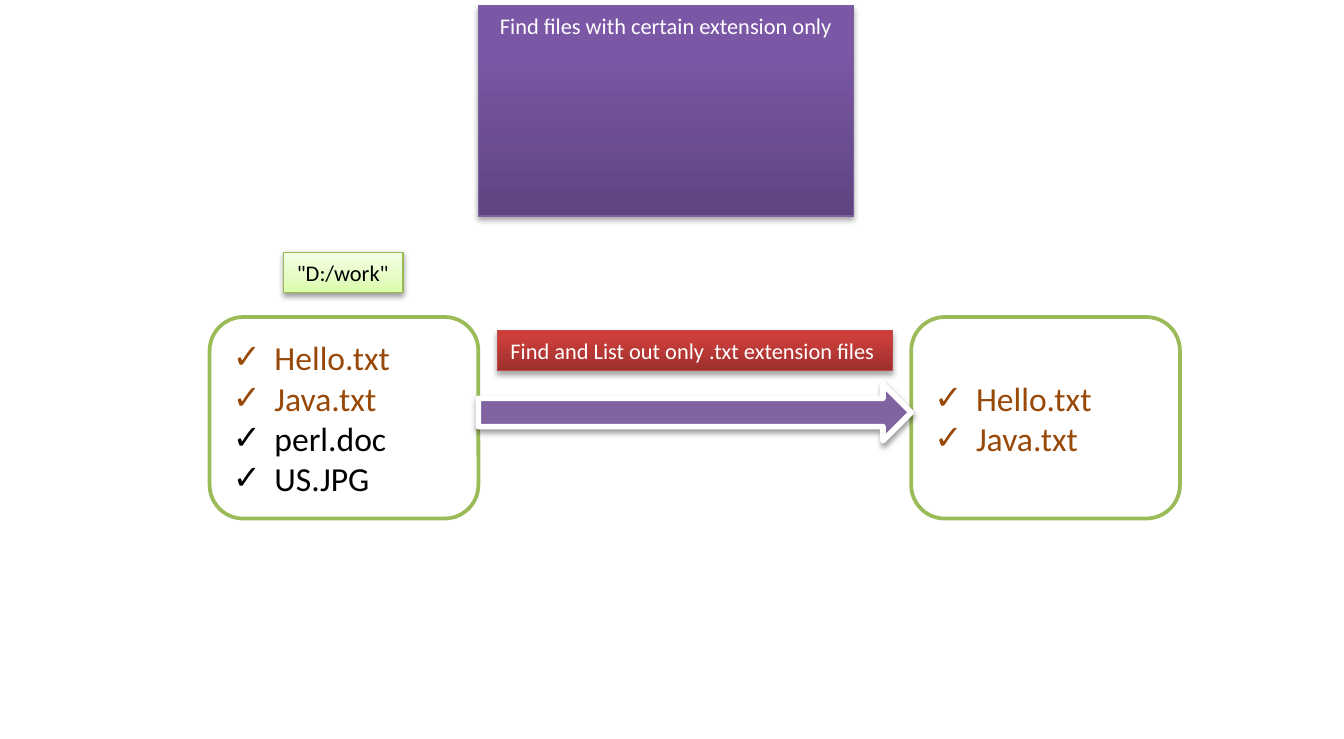
from lxml import etree
from pptx import Presentation
from pptx import util as u
from pptx.dml.color import RGBColor
from pptx.enum import shapes, text
from pptx.oxml import ns

PX = 9144
FONT = "Calibri"
WHITE = RGBColor(0xFF, 0xFF, 0xFF)
BLACK = RGBColor(0, 0, 0)
BROWN = RGBColor(0x98, 0x48, 0x07)
GREEN = RGBColor(0x9B, 0xBB, 0x59)
LIME = RGBColor(0x98, 0xB9, 0x55)
PURPLE = RGBColor(0x80, 0x64, 0xA2)
VIOLET = RGBColor(0x7D, 0x60, 0xA0)
RED = RGBColor(0xBF, 0x4C, 0x48)
VIOLET_STOPS = [(0, RGBColor(0x5F, 0x44, 0x80)), (80, RGBColor(0x7B, 0x58, 0xA6)),
                (100, RGBColor(0x7C, 0x57, 0xA8))]
LIME_STOPS = [(0, RGBColor(0xDA, 0xFD, 0xA7)), (35, RGBColor(0xE4, 0xFC, 0xC2)),
              (100, RGBColor(0xF5, 0xFF, 0xE7))]
RED_STOPS = [(0, RGBColor(0x9C, 0x2F, 0x2D)), (80, RGBColor(0xCB, 0x3E, 0x3A)),
             (100, RGBColor(0xCE, 0x3B, 0x37))]


def add_child(parent, tag, **attributes):
    child = etree.SubElement(parent, ns.qn(tag))
    for name, value in attributes.items():
        child.set(name, str(value))
    return child


def place(box, left, top, width, height):
    box.left, box.top = left * PX, top * PX
    box.width, box.height = width * PX, height * PX


def set_geometry(box, preset):
    geometry = add_child(box.element.spPr, "a:prstGeom", prst=preset)
    add_child(geometry, "a:avLst")


def set_line(box, color, width):
    box.line.color.rgb = color
    box.line.width = u.Pt(width)


def set_fill(box, color):
    box.fill.solid()
    box.fill.fore_color.rgb = color


def set_gradient(box, stops):
    box.fill.gradient()
    box.fill.gradient_angle = 90
    stop_list = box.element.spPr.find(".//" + ns.qn("a:gsLst"))
    for stop in list(stop_list):
        stop_list.remove(stop)
    for percent, color in stops:
        stop = add_child(stop_list, "a:gs", pos=percent * 1000)
        add_child(stop, "a:srgbClr", val=color)


def set_shadow(box, opacity, distance):
    box.shadow.inherit = False
    effects = box.element.spPr.find(ns.qn("a:effectLst"))
    shadow = add_child(effects, "a:outerShdw", blurRad=u.Pt(3.1), dist=u.Pt(distance),
                       dir=90 * 60000, rotWithShape=0)
    color = add_child(shadow, "a:srgbClr", val=BLACK)
    add_child(color, "a:alpha", val=opacity * 1000)


def add_text(para, words, size, color):
    para.space_before = u.Pt(0)
    span = para.add_run()
    span.text = words
    span.font.name = FONT
    span.font.size = u.Pt(size)
    span.font.bold = False
    span.font.color.rgb = color


def format_label(box, words, color, stops, line, opacity, distance, align, wrap):
    set_gradient(box, stops)
    set_line(box, line, 0.75)
    set_shadow(box, opacity, distance)
    frame = box.text_frame
    frame.word_wrap = wrap
    frame.auto_size = text.MSO_AUTO_SIZE.SHAPE_TO_FIT_TEXT
    frame.vertical_anchor = text.MSO_ANCHOR.TOP
    para = frame.paragraphs[0]
    para.alignment = align
    add_text(para, words, 12, color)


def format_title(title, words):
    place(title, 356, 4, 279, 30)
    set_geometry(title, "rect")
    format_label(title, words, WHITE, VIOLET_STOPS, VIOLET, 35, 1.8,
                 text.PP_ALIGN.CENTER, True)


def add_label(page, area, words, color, stops, line, opacity, distance):
    box = page.shapes.add_shape(shapes.MSO_SHAPE.RECTANGLE, *(n * PX for n in area))
    format_label(box, words, color, stops, line, opacity, distance,
                 text.PP_ALIGN.LEFT, False)


def format_file_list(box, left, files):
    place(box, left, 236, 200, 150)
    set_geometry(box, "roundRect")
    set_fill(box, WHITE)
    set_line(box, GREEN, 2)
    frame = box.text_frame
    frame.word_wrap = True
    frame.auto_size = text.MSO_AUTO_SIZE.NONE
    frame.vertical_anchor = text.MSO_ANCHOR.MIDDLE
    for index, (name, color) in enumerate(files):
        para = frame.paragraphs[0] if index == 0 else frame.add_paragraph()
        properties = para._p.get_or_add_pPr()
        properties.set("marL", str(31 * PX))
        properties.set("indent", str(-31 * PX))
        add_child(properties, "a:buFont", typeface="Arial")
        add_child(properties, "a:buChar", char="✓")
        add_text(para, name, 18, color)


def add_arrow(page):
    arrow = page.shapes.add_shape(shapes.MSO_SHAPE.RIGHT_ARROW,
                                  356 * PX, 286 * PX, 322 * PX, 42 * PX)
    set_fill(arrow, PURPLE)
    set_line(arrow, WHITE, 3)
    set_shadow(arrow, 38, 1.6)


def main():
    deck = Presentation()
    deck.slide_width, deck.slide_height = 1000 * PX, 550 * PX
    page = deck.slides.add_slide(deck.slide_layouts.get_by_name("Two Content"))
    title, source, result = page.placeholders
    text_files = [("Hello.txt", BROWN), ("Java.txt", BROWN)]
    other_files = [("perl.doc", BLACK), ("US.JPG", BLACK)]

    format_title(title, "Find files with certain extension only")
    format_file_list(source, 156, text_files + other_files)
    format_file_list(result, 678, text_files)
    add_label(page, (211, 188, 89, 30), "\"D:/work\"", BLACK, LIME_STOPS, LIME, 38, 1.6)
    add_arrow(page)
    add_label(page, (370, 246, 294, 30), "Find and List out only .txt extension files",
              WHITE, RED_STOPS, RED, 35, 1.8)
    deck.save("out.pptx")


if __name__ == "__main__":
    main()
